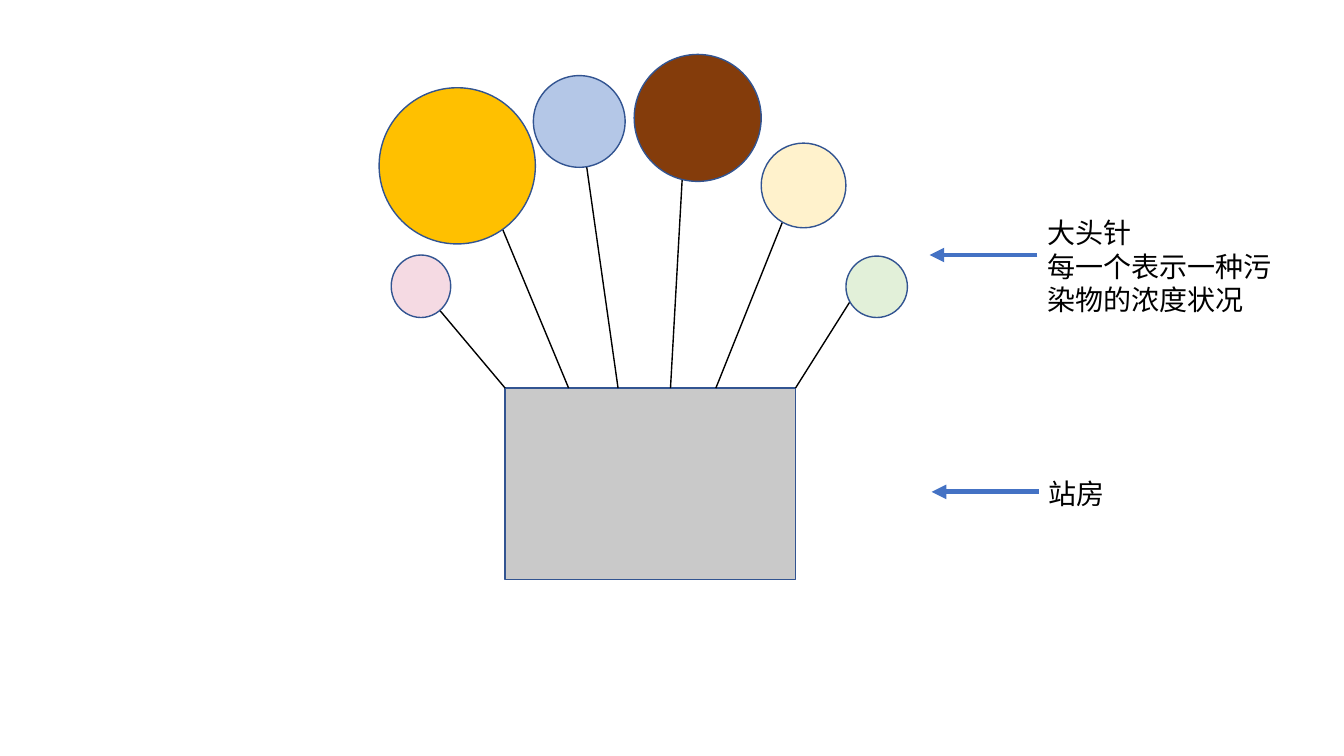
from dataclasses import dataclass

from lxml import etree
from pptx import Presentation
from pptx.dml.color import RGBColor
from pptx.enum import shapes as sh
from pptx.oxml import ns
from pptx.shapes.connector import Connector
from pptx.slide import Slide
from pptx.util import Inches, Pt

FONT = "Noto Sans CJK SC"
BLACK = RGBColor(0x00, 0x00, 0x00)
GREY = RGBColor(0xC9, 0xC9, 0xC9)
OUTLINE = RGBColor(0x32, 0x54, 0x91)
ARROW_BLUE = RGBColor(0x44, 0x72, 0xC4)
PINK = RGBColor(0xF5, 0xDA, 0xE3)
AMBER = RGBColor(0xFF, 0xC0, 0x00)
LIGHT_BLUE = RGBColor(0xB4, 0xC7, 0xE7)
GREEN = RGBColor(0xE2, 0xF0, 0xD9)
CREAM = RGBColor(0xFF, 0xF2, 0xCC)
BROWN = RGBColor(0x84, 0x3C, 0x0B)

STATION_TOP = 3.85


@dataclass
class Pin:
    left: float
    top: float
    width: float
    height: float
    fill: RGBColor
    stem_x: float
    stem_y: float
    foot_x: float


@dataclass
class Note:
    text: str
    left: float
    top: float
    width: float
    height: float
    arrow_y: float
    arrow_tip: float


PINS = [
    Pin(3.88, 2.53, 0.59, 0.62, PINK, 4.01, 2.66, 5.01),
    Pin(3.76, 0.87, 1.55, 1.55, AMBER, 4.8, 1.83, 5.64),
    Pin(5.29, 0.75, 0.91, 0.91, LIGHT_BLUE, 5.75, 1.17, 6.13),
    Pin(8.39, 2.54, 0.61, 0.61, GREEN, 8.64, 2.66, 7.89),
    Pin(7.55, 1.42, 0.84, 0.84, CREAM, 7.91, 1.83, 7.1),
    Pin(6.29, 0.54, 1.26, 1.26, BROWN, 6.8, 1.17, 6.65),
]

NOTES = [
    Note("大头针\n每一个表示一种污染物的浓度状况", 10.29, 2.09, 2.46, 1.11, 2.53, 9.22),
    Note("站房", 10.3, 4.68, 2.25, 0.44, 4.88, 9.24),
]


def add_filled(s: Slide, kind: sh.MSO_SHAPE, left: float, top: float,
               width: float, height: float, fill: RGBColor) -> None:
    sp = s.shapes.add_shape(kind, Inches(left), Inches(top),
                            Inches(width), Inches(height))
    sp.shadow.inherit = False
    sp.fill.solid()
    sp.fill.fore_color.rgb = fill
    sp.line.color.rgb = OUTLINE
    sp.line.width = Pt(1)


def add_line(s: Slide, x1: float, y1: float, x2: float, y2: float,
             color: RGBColor, width: float) -> Connector:
    line = s.shapes.add_connector(sh.MSO_CONNECTOR.STRAIGHT, Inches(x1),
                                  Inches(y1), Inches(x2), Inches(y2))
    line.line.color.rgb = color
    line.line.width = Pt(width)
    etree.SubElement(line._element.spPr, ns.qn("a:effectLst"))
    return line


def add_pin(s: Slide, pin: Pin) -> None:
    add_line(s, pin.stem_x, pin.stem_y, pin.foot_x, STATION_TOP, BLACK, 1)
    add_filled(s, sh.MSO_SHAPE.OVAL, pin.left, pin.top,
               pin.width, pin.height, pin.fill)


def add_note(s: Slide, note: Note) -> None:
    arrow = add_line(s, note.left, note.arrow_y, note.arrow_tip, note.arrow_y,
                     ARROW_BLUE, 3.5)
    etree.SubElement(arrow.line._get_or_add_ln(), ns.qn("a:tailEnd"),
                     type="triangle")
    sp = s.shapes.add_textbox(Inches(note.left), Inches(note.top),
                              Inches(note.width), Inches(note.height))
    tf = sp.text_frame
    tf.word_wrap = True
    tf.text = note.text
    for p in tf.paragraphs:
        p.line_spacing = Pt(24)
        for r in p.runs:
            r.font.size = Pt(20)
            r.font.name = FONT
            r.font.color.rgb = BLACK
            latin = r.font._element.find(ns.qn("a:latin"))
            latin.addnext(etree.Element(ns.qn("a:ea"), typeface=FONT))


def main() -> None:
    prs = Presentation()
    prs.slide_width = Inches(13.33)
    prs.slide_height = Inches(7.5)
    s = prs.slides.add_slide(prs.slide_layouts[6])
    add_filled(s, sh.MSO_SHAPE.RECTANGLE, 5.01, STATION_TOP, 2.88, 1.9, GREY)
    for pin in PINS:
        add_pin(s, pin)
    for note in NOTES:
        add_note(s, note)
    prs.save("out.pptx")


if __name__ == "__main__":
    main()
